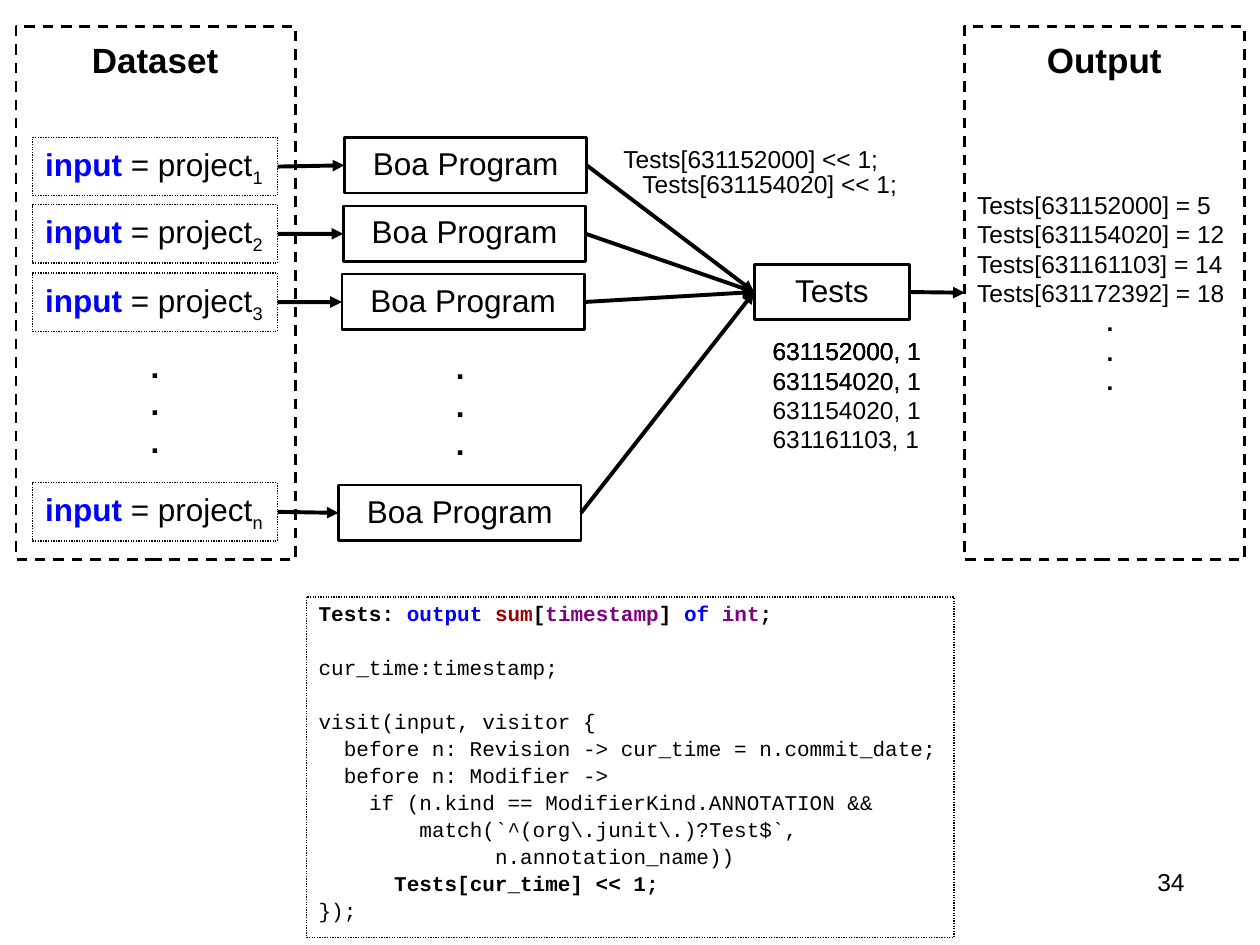
"""Build the slide that shows a Boa program run over a dataset of projects."""
from dataclasses import dataclass
from typing import NamedTuple

from lxml import etree
from pptx import Presentation
from pptx.dml.color import RGBColor
from pptx.enum.dml import MSO_LINE
from pptx.enum.shapes import MSO_CONNECTOR, MSO_SHAPE
from pptx.enum.text import MSO_ANCHOR, PP_ALIGN
from pptx.oxml.ns import qn
from pptx.util import Pt

RECT, STRAIGHT = MSO_SHAPE.RECTANGLE, MSO_CONNECTOR.STRAIGHT
DASH, DOT, SOLID = MSO_LINE.DASH, MSO_LINE.ROUND_DOT, MSO_LINE.SOLID
TOP, MIDDLE = MSO_ANCHOR.TOP, MSO_ANCHOR.MIDDLE
LEFT, CENTER, RIGHT = PP_ALIGN.LEFT, PP_ALIGN.CENTER, PP_ALIGN.RIGHT
LEFT_SIDE, RIGHT_SIDE = 1, 3


@dataclass(frozen=True)
class Theme:
    """Colours, fonts and sizes."""
    black: str = "000000"
    white: str = "FFFFFF"
    blue: str = "0000FF"
    red: str = "990000"
    purple: str = "800080"
    sans: str = "Arial"
    mono: str = "Courier New"
    heading: float = 20
    body: float = 18
    small: float = 14
    code: float = 12
    code_char: float = 7.2
    thin: float = 0.75
    medium: float = 1.5
    thick: float = 2.25


T = Theme()


class Run(NamedTuple):
    """A piece of text with its own look."""
    text: str
    color: str = T.black
    bold: bool = False
    subscript: bool = False


class Para(NamedTuple):
    """A paragraph with its left indent and space before, in points."""
    runs: tuple[Run, ...]
    indent: float = 0
    before: float = 0


class Box(NamedTuple):
    """Left, top, width and height in points."""
    x: float
    y: float
    w: float
    h: float


class Style(NamedTuple):
    """The type and layout of a text."""
    size: float = T.body
    font: str = T.sans
    align: PP_ALIGN = LEFT
    anchor: MSO_ANCHOR = TOP
    wrap: bool = False
    spacing: float = 1


def plain(*lines: str, bold: bool = False, indent: float = 0) -> list[Para]:
    """Return one single-run paragraph for each line."""
    return [Para((Run(line, bold=bold),), indent) for line in lines]


def write(sp, paras: list[Para], style: Style) -> None:
    """Fill a shape with formatted paragraphs."""
    tf = sp.text_frame
    tf.word_wrap, tf.vertical_anchor = style.wrap, style.anchor
    for i, para in enumerate(paras):
        p = tf.add_paragraph() if i else tf.paragraphs[0]
        p.alignment, p.line_spacing = style.align, style.spacing
        p.space_before = Pt(para.before)
        if para.indent:
            p._p.get_or_add_pPr().set("marL", str(Pt(para.indent)))
        for run in para.runs:
            r = p.add_run()
            r.text = run.text
            r.font.name, r.font.size, r.font.bold = style.font, Pt(style.size), run.bold
            r.font.color.rgb = RGBColor.from_string(run.color)
            if run.subscript:
                r._r.get_or_add_rPr().set("baseline", "-25000")


def add_text(s, box: Box, paras: list[Para], style: Style = Style()):
    """Add a text box."""
    sp = s.shapes.add_textbox(*map(Pt, box))
    write(sp, paras, style)
    return sp


def add_rect(s, box: Box, paras: list[Para], style: Style = Style(),
             width: float = T.medium, dash: MSO_LINE = SOLID, filled: bool = False):
    """Add an outlined rectangle with optional text."""
    sp = s.shapes.add_shape(RECT, *map(Pt, box))
    sp.shadow.inherit = False
    if filled:
        sp.fill.solid()
        sp.fill.fore_color.rgb = RGBColor.from_string(T.white)
    else:
        sp.fill.background()
    sp.line.color.rgb = RGBColor.from_string(T.black)
    sp.line.width, sp.line.dash_style = Pt(width), dash
    write(sp, paras, style)
    return sp


def add_arrow(s, source, target) -> None:
    """Join the right side of one rectangle to the left side of another."""
    line = s.shapes.add_connector(STRAIGHT, 0, 0, 0, 0)
    line.begin_connect(source, RIGHT_SIDE)
    line.end_connect(target, LEFT_SIDE)
    line.line.color.rgb = RGBColor.from_string(T.black)
    line.line.width = Pt(T.thick)
    etree.SubElement(line.line._get_or_add_ln(), qn("a:tailEnd"), type="triangle")
    etree.SubElement(line._element.spPr, qn("a:effectLst"))


def code_paras() -> list[Para]:
    """Return the program listing, indented by whole characters."""
    line_gap, block_gap = 2.5, 17.9
    declaration = (
        Run("Tests: ", bold=True), Run("output ", T.blue, True), Run("sum", T.red, True),
        Run("[", bold=True), Run("timestamp", T.purple, True), Run("] ", bold=True),
        Run("of ", T.blue, True), Run("int", T.purple, True), Run(";", bold=True))
    lines = (
        (0, block_gap, "cur_time:timestamp;", False),
        (0, block_gap, "visit(input, visitor {", False),
        (2, line_gap, "before n: Revision -> cur_time = n.commit_date;", False),
        (2, line_gap, "before n: Modifier ->", False),
        (4, line_gap, "if (n.kind == ModifierKind.ANNOTATION &&", False),
        (8, line_gap, r"match(`^(org\.junit\.)?Test$`,", False),
        (14, line_gap, "n.annotation_name))", False),
        (6, line_gap, "Tests[cur_time] << 1;", True),
        (0, line_gap, "});", False))
    return [Para(declaration)] + [
        Para((Run(text, bold=bold),), chars * T.code_char, before)
        for chars, before, text, bold in lines]


def main() -> None:
    """Build and save the slide."""
    prs = Presentation()
    prs.slide_width, prs.slide_height = Pt(720), Pt(540)
    s = prs.slides.add_slide(prs.slide_layouts[6])

    heading, small = Style(T.heading), Style(T.small)
    label = Style(anchor=MIDDLE)
    node = Style(align=CENTER, anchor=MIDDLE, wrap=True, spacing=0.9)
    dots = plain(".", ".", ".", bold=True)

    add_text(s, Box(516.2, 491.8, 167.8, 37.4), plain("34"),
             Style(T.small, align=RIGHT, wrap=True))
    add_rect(s, Box(9.2, 15, 159.8, 304.6), [], dash=DASH)
    add_text(s, Box(45.4, 18.7, 92, 31), plain("Dataset", bold=True), heading)
    results = plain("Tests[631152000] = 5", "Tests[631154020] = 12",
                    "Tests[631161103] = 14", "Tests[631172392] = 18")
    output = add_rect(s, Box(551.3, 15, 159.8, 304.6),
                      results + plain(".", ".", ".", bold=True, indent=74),
                      Style(T.small, anchor=MIDDLE, wrap=True), dash=DASH)
    add_text(s, Box(591.1, 18.7, 84, 31), plain("Output", bold=True), heading)
    tests = add_rect(s, Box(431, 151, 88.8, 31.8), plain("Tests"), node, filled=True)
    add_arrow(s, tests, output)

    rows = (("1", 78.5, 196.8, 78.6), ("2", 117, 196.2, 117.7),
            ("3", 156, 195.4, 156.7), ("n", 275.8, 193.5, 277.2))
    for index, input_y, program_x, program_y in rows:
        text = Para((Run("input ", T.blue, True), Run("= project"),
                     Run(index, subscript=True)))
        project = add_rect(s, Box(18.7, input_y, 139.9, 33.4), [text], label, T.thin, DOT)
        program = add_rect(s, Box(program_x, program_y, 138.5, 31.8),
                           plain("Boa Program"), node, filled=True)
        add_arrow(s, project, program)
        add_arrow(s, program, tests)
    for x, y in ((79, 194.6), (253.5, 195.6)):
        add_text(s, Box(x, y, 19.4, 72), dots)

    add_rect(s, Box(175, 341.2, 370.2, 194.5), code_paras(),
             Style(T.code, T.mono, wrap=True, spacing=0.9), T.thin, DOT, True)

    for x, y, key in ((349.2, 78.6, "631152000"), (360, 92.9, "631154020")):
        add_text(s, Box(x, y, 164, 24), plain(f"Tests[{key}] << 1;"), small)
    emitted = ("631152000, 1", "631154020, 1", "631154020, 1", "631161103, 1")
    for count in (1, 2, 4):
        add_text(s, Box(434.4, 188.6, 102, 7.2 + 16.8 * count),
                 plain(*emitted[:count]), small)

    prs.save("out.pptx")


if __name__ == "__main__":
    main()
